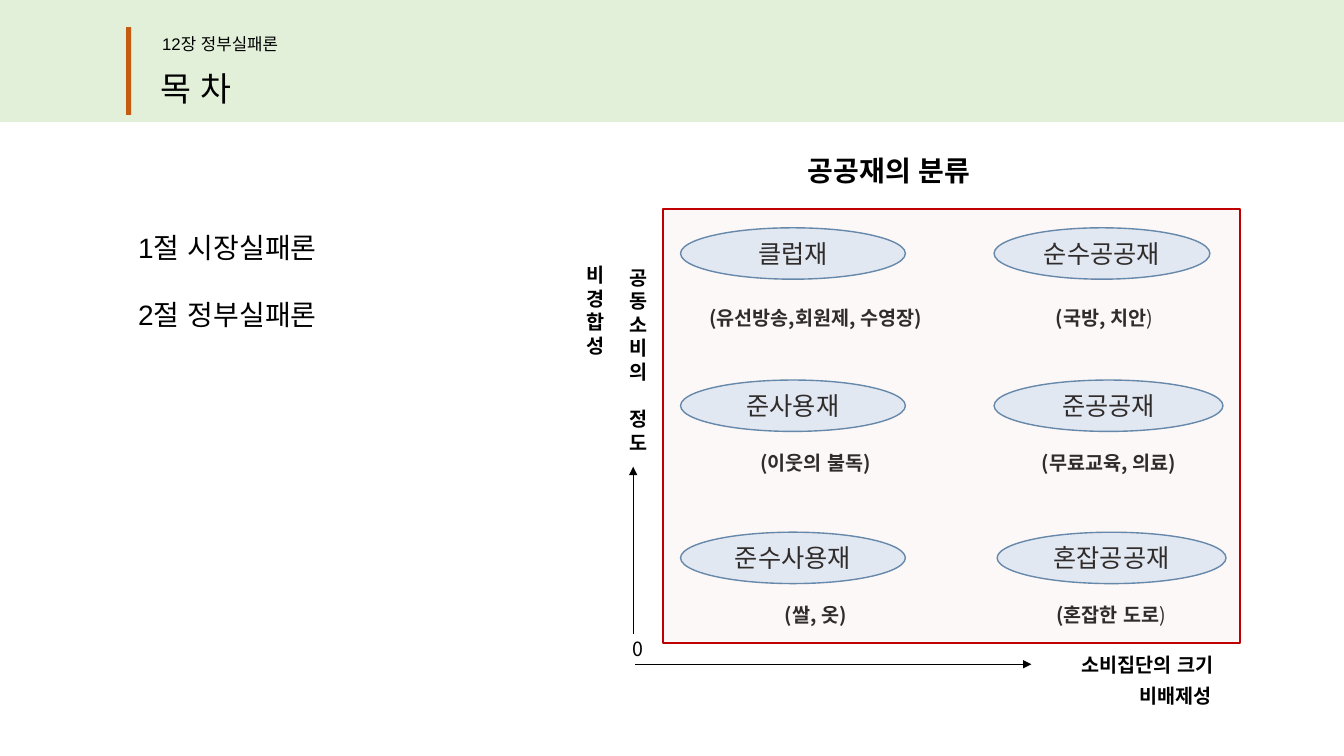
from lxml import etree
from pptx import Presentation
from pptx.dml.color import RGBColor
from pptx.enum.lang import MSO_LANGUAGE_ID
from pptx.enum.shapes import MSO_CONNECTOR, MSO_SHAPE
from pptx.enum.text import MSO_ANCHOR, MSO_AUTO_SIZE, PP_ALIGN
from pptx.oxml.ns import qn
from pptx.util import Inches, Pt

# Content
CHAPTER, TITLE = "12장 정부실패론", "목 차"
SECTIONS = ["1절 시장실패론", "2절 정부실패론"]
DIAGRAM_TITLE = "공공재의 분류"
# Per row: (good, ellipse left, ellipse width, examples, caption left, caption width)
GOODS = [
    [("클럽재", 6.75, 2.23, "(유선방송,회원제, 수영장)", 6.86, 2.46),
     ("순수공공재", 9.86, 2.14, "(국방, 치안)", 9.77, 2.37)],
    [("준사용재", 6.75, 2.23, "(이웃의 불독)", 6.86, 2.46),
     ("준공공재", 9.86, 2.27, "(무료교육, 의료)", 9.77, 2.46)],
    [("준수사용재", 6.75, 2.23, "(쌀, 옷)", 6.86, 2.46),
     ("혼잡공공재", 9.89, 2.27, "(혼잡한 도로)", 9.79, 2.46)],
]
LIGHT_PAREN = {"(국방, 치안)", "(혼잡한 도로)"}
ROW_TOP, ROW_PITCH = 2.26, 1.51
CAPTION_TOPS = [2.96, 4.4, 5.91]
DEGREE_WORDS = ["공동소비의", "정도"]
LABELS = [
    ("비경합성", 5.72, 2.58, 0.3, 0.99),
    ("소비집단의 크기", 10.51, 6.47, 1.74, 0.25),
    ("비배제성", 11.16, 6.78, 1, 0.25),
]
ARROWS = [(6.28, 6.29, 6.28, 4.63, 0.5), (6.3, 6.59, 10.23, 6.59, 0.75)]
KOREAN_FONT = "Noto Sans CJK KR"


def rgb(value):
    return RGBColor.from_string(value)


def place(shape, *box):
    shape.left, shape.top, shape.width, shape.height = map(Inches, box)


def add_run(paragraph, text, size, font, bold=False):
    run = paragraph.add_run()
    run.text = text
    run.font.size, run.font.name, run.font.bold = Pt(size), font, bold
    run.font.color.rgb = rgb("000000")
    run.font.language_id = MSO_LANGUAGE_ID.KOREAN
    latin = run.font._element.find(qn("a:latin"))
    east_asian = etree.Element(qn("a:ea"), typeface=font)
    latin.addnext(east_asian)


def write(shape, lines, size, font=KOREAN_FONT, bold=False, align=PP_ALIGN.CENTER,
          anchor=MSO_ANCHOR.MIDDLE, wrap=True):
    frame = shape.text_frame
    frame.word_wrap, frame.vertical_anchor = wrap, anchor
    frame.auto_size = MSO_AUTO_SIZE.NONE
    for i, line in enumerate(lines):
        paragraph = frame.add_paragraph() if i else frame.paragraphs[0]
        paragraph.alignment = align
        if line in LIGHT_PAREN:
            add_run(paragraph, line[:-1], size, font, bold)
            add_run(paragraph, line[-1], size, font)
        else:
            add_run(paragraph, line, size, font, bold)
    return frame.paragraphs


def add_shape(kind, box, fill, line=None, weight=1):
    shape = slide.shapes.add_shape(kind, *map(Inches, box))
    shape.shadow.inherit = False
    shape.fill.solid()
    shape.fill.fore_color.rgb = rgb(fill)
    if line:
        shape.line.color.rgb = rgb(line)
        shape.line.width = Pt(weight)
    else:
        shape.line.fill.background()
    return shape


def add_label(lines, box, size=14, bold=True):
    label = add_shape(MSO_SHAPE.RECTANGLE, box, "FFFFFF", "FFFFFF")
    return write(label, lines, size, bold=bold)


prs = Presentation()
prs.slide_width, prs.slide_height = Inches(13.33), Inches(7.5)
slide = prs.slides.add_slide(prs.slide_layouts[1])
title, sections = slide.placeholders

# Header band and accent bar, placed behind the title
band = add_shape(MSO_SHAPE.RECTANGLE, (0, 0, 13.33, 1.21), "E2F0D9")
accent = add_shape(MSO_SHAPE.RECTANGLE, (1.25, 0.27, 0.05, 0.87), "C55A11")
for position, part in enumerate((band, accent), start=2):
    slide.shapes._spTree.insert(position, part._element)

# Title, chapter and section list
left_top = dict(font="Arial", align=PP_ALIGN.LEFT, anchor=MSO_ANCHOR.TOP)
place(title, 1.49, 0.62, 0.99, 0.5)
write(title, [TITLE], 24, wrap=False, **left_top)
chapter = slide.shapes.add_textbox(*map(Inches, (1.51, 0.29, 4.73, 0.3)))
write(chapter, [CHAPTER], 12, **left_top)
place(sections, 1.27, 1.9, 2.65, 1.34)
for paragraph in write(sections, SECTIONS, 20, **left_top):
    paragraph.line_spacing, paragraph.space_before = 2.0, Pt(0)
    properties = paragraph._p.get_or_add_pPr()
    properties.set("marL", "0")
    properties.set("indent", "0")
    etree.SubElement(properties, qn("a:buNone"))

# Goods with their examples
for row, (goods, caption_top) in enumerate(zip(GOODS, CAPTION_TOPS)):
    for name, left, width, examples, caption_left, caption_width in goods:
        box = (left, ROW_TOP + row * ROW_PITCH, width, 0.51)
        write(add_shape(MSO_SHAPE.OVAL, box, "DEEBF7", "43739E"), [name], 18)
        add_label([examples], (caption_left, caption_top, caption_width, 0.38))

# Axis labels, with one syllable per line on the vertical axis
syllables = add_label(list("".join(DEGREE_WORDS)), (6.15, 2.58, 0.3, 1.98))
syllables[len(DEGREE_WORDS[0])].space_before = Pt(16.8)
for text, *box in LABELS:
    add_label([text], box)
add_label(["0"], (6.15, 6.35, 0.35, 0.18), bold=False)
add_label([DIAGRAM_TITLE], (7.59, 1.52, 2.46, 0.33), size=20)

# Axis arrows
for *ends, weight in ARROWS:
    arrow = slide.shapes.add_connector(MSO_CONNECTOR.STRAIGHT, *map(Inches, ends))
    arrow.line.color.rgb = rgb("000000")
    arrow.line.width = Pt(weight)
    etree.SubElement(arrow.line._get_or_add_ln(), qn("a:tailEnd"), type="triangle")
    etree.SubElement(arrow._element.spPr, qn("a:effectLst"))

# Translucent frame over the goods
frame = add_shape(MSO_SHAPE.RECTANGLE, (6.58, 2.07, 5.72, 4.31), "F2DCDB", "C00000", 1.5)
tint = frame._element.spPr.find(qn("a:solidFill"))[0]
etree.SubElement(tint, qn("a:alpha"), val="20000")

prs.save("out.pptx")
